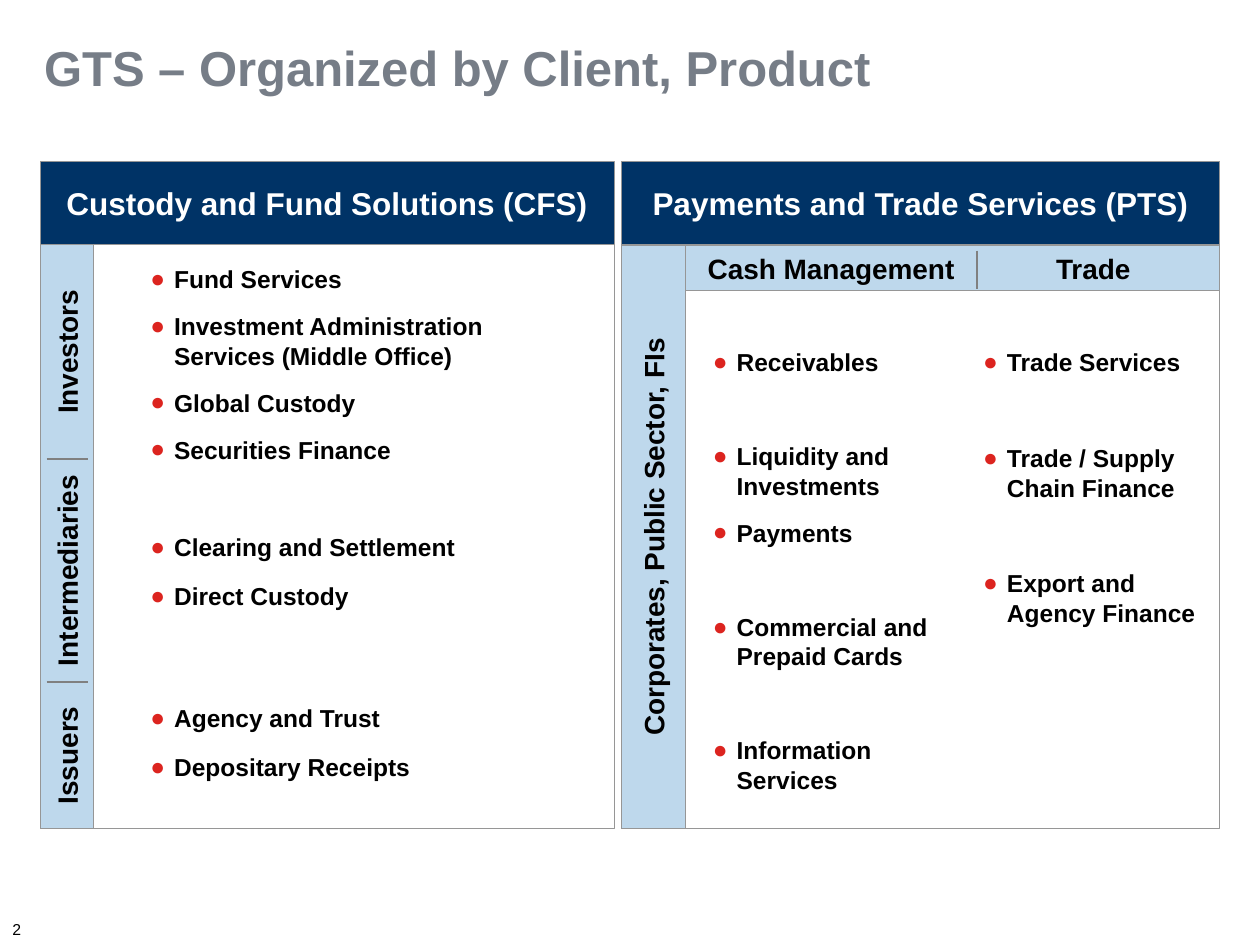
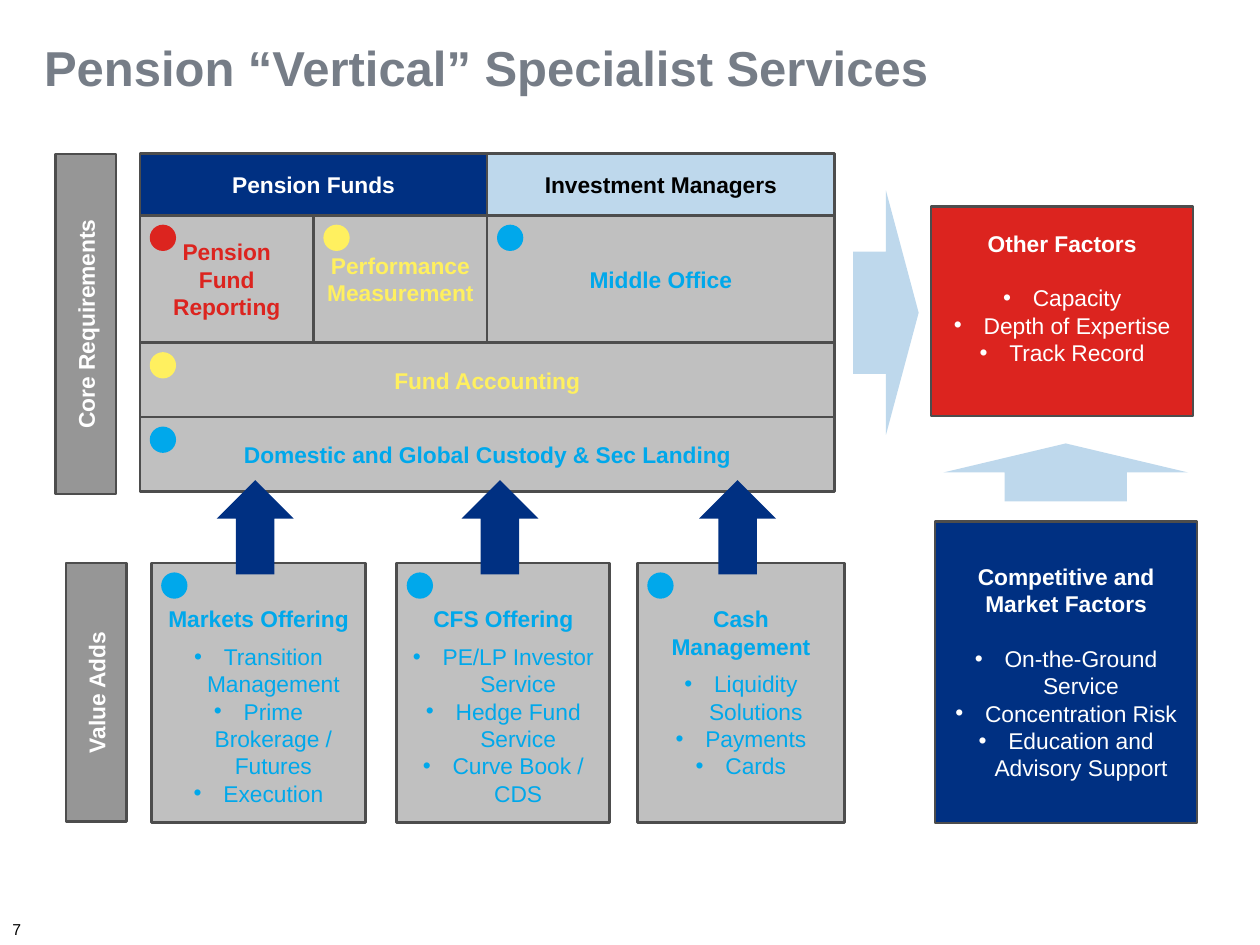
"""Build two slides on how services are organized by client and product."""
from lxml import etree
from pptx import Presentation
from pptx.dml.color import RGBColor
from pptx.enum.shapes import MSO_CONNECTOR, MSO_SHAPE
from pptx.enum.text import MSO_ANCHOR, MSO_AUTO_SIZE, PP_ALIGN
from pptx.oxml.ns import qn
from pptx.util import Cm, Pt

RECT, OVAL = MSO_SHAPE.RECTANGLE, MSO_SHAPE.OVAL
RIGHT, UP = MSO_SHAPE.RIGHT_ARROW, MSO_SHAPE.UP_ARROW
LINE = MSO_CONNECTOR.STRAIGHT
TOP, MID = MSO_ANCHOR.TOP, MSO_ANCHOR.MIDDLE
LEFT, CENTER = PP_ALIGN.LEFT, PP_ALIGN.CENTER
FIXED = MSO_AUTO_SIZE.NONE

FONT = "Arial"
WHITE = RGBColor(0xFF, 0xFF, 0xFF)
BLACK = RGBColor(0, 0, 0)
SLATE = RGBColor(0x76, 0x7D, 0x87)
NAVY = RGBColor(0x00, 0x33, 0x66)
BLUE = RGBColor(0x00, 0x30, 0x82)
PALE = RGBColor(0xBE, 0xD8, 0xEC)
SKY = RGBColor(0x00, 0xA8, 0xEB)
RED = RGBColor(0xDC, 0x24, 0x1F)
YELLOW = RGBColor(0xFF, 0xF0, 0x5F)
SILVER = RGBColor(0xC0, 0xC0, 0xC0)
GRAY = RGBColor(0x96, 0x96, 0x96)
RULE = RGBColor(0x80, 0x80, 0x80)
DARK = RGBColor(0x4D, 0x4D, 0x4D)

HEAD = 1.68
DOT = 0.53
TINT = {"size": 13, "color": WHITE}


def style(para, size, color, bold=True, align=CENTER, gap=0):
    """Format one paragraph and its runs."""
    para.alignment = align
    para.line_spacing = Pt(round(size * 1.2, 1))
    para.space_before, para.space_after = Pt(gap), Pt(0)
    for run in para.runs:
        font = run.font
        font.name, font.size, font.bold = FONT, Pt(size), bold
        font.color.rgb = color


def bullet(para, mark, indent, color):
    """Give a paragraph a hanging bullet."""
    props = para._p.get_or_add_pPr()
    props.set("marL", str(Cm(indent)))
    props.set("indent", str(-Cm(indent)))
    tint = etree.SubElement(props, qn("a:buClr"))
    etree.SubElement(tint, qn("a:srgbClr"), val=str(color))
    etree.SubElement(props, qn("a:buFont"), typeface=FONT)
    etree.SubElement(props, qn("a:buChar"), char=mark)


def inset(frame, size, top=None):
    """Set equal insets, or another one at the top."""
    frame.margin_left = frame.margin_right = frame.margin_bottom = Cm(size)
    frame.margin_top = Cm(size if top is None else top)


def shape(slide, box, kind=RECT, fill=None, edge=None, width=1.5):
    """Draw a preset shape in a box given in centimetres."""
    item = slide.shapes.add_shape(kind, *map(Cm, box))
    item.shadow.inherit = False
    if fill is None:
        item.fill.background()
    else:
        item.fill.solid()
        item.fill.fore_color.rgb = fill
    if edge is None:
        item.line.fill.background()
    else:
        item.line.color.rgb, item.line.width = edge, Pt(width)
    return item


def label(item, text, size, color, pad=0.25):
    """Write one centred bold line into a shape."""
    frame = item.text_frame
    frame.word_wrap, frame.vertical_anchor = True, MID
    inset(frame, pad)
    frame.text = text
    style(frame.paragraphs[0], size, color)


def turned(slide, box, text, size, color, fill=None, edge=None, width=1.5):
    """Fill a tall box with a shape whose text reads upwards."""
    x, y, w, h = box
    frame = (x + (w - h) / 2, y + (h - w) / 2, h, w)
    item = shape(slide, frame, fill=fill, edge=edge, width=width)
    item.rotation = 270
    label(item, text, size, color, 0)


def rule(slide, x, y, end_x, end_y):
    """Draw a thin divider."""
    item = slide.shapes.add_connector(LINE, Cm(x), Cm(y), Cm(end_x), Cm(end_y))
    item.line.color.rgb, item.line.width = RULE, Pt(1.25)
    etree.SubElement(item._element.spPr, qn("a:effectLst"))


def listing(slide, box, items, gaps):
    """Write a bold list with red bullets and the given gaps."""
    frame = slide.shapes.add_textbox(*map(Cm, box)).text_frame
    frame.word_wrap = True
    inset(frame, 0)
    frame.text = "\n".join(items)
    for para, gap in zip(frame.paragraphs, [0, *gaps]):
        bullet(para, "●", 0.48, RED)
        style(para, 14, BLACK, align=LEFT, gap=gap)


def start(deck, title, number):
    """Add a slide with its title and page number."""
    slide = deck.slides.add_slide(deck.slide_layouts[5])
    head = slide.shapes.title
    head.left, head.top, head.width, head.height = map(Cm, (0.89, 0.76, 20.04, 1.19))
    frame = head.text_frame
    frame.auto_size, frame.vertical_anchor = FIXED, TOP
    frame.word_wrap = True
    inset(frame, 0)
    frame.text = title
    style(frame.paragraphs[0], 28, SLATE, align=LEFT)
    page = slide.shapes.add_textbox(Cm(0), Cm(18.42), Cm(0.89), Cm(0.63)).text_frame
    page.text = number
    style(page.paragraphs[0], 9, BLACK, bold=False, align=LEFT)
    return slide


def panel(slide, box, title):
    """Draw a framed panel under a navy header."""
    x, y, w, h = box
    shape(slide, (x, y + HEAD, w, h - HEAD), edge=GRAY, width=0.5)
    head = shape(slide, (x, y, w, HEAD), fill=NAVY, edge=GRAY, width=0.5)
    label(head, title, 18, WHITE)


def funds(slide, box):
    """Draw the securities panel with its three client groups."""
    x, y, w, h = box
    panel(slide, box, "Custody and Fund Solutions (CFS)")
    band = 1.07
    shape(slide, (x, y + HEAD, band, h - HEAD), fill=PALE, edge=GRAY, width=0.5)
    cuts = [HEAD, 6.0, 10.5, h]
    names = ["Investors", "Intermediaries", "Issuers"]
    for name, top, end in zip(names, cuts, cuts[1:]):
        turned(slide, (x, y + top, band, end - top), name, 16, BLACK)
    for cut in cuts[1:-1]:
        rule(slide, x + 0.13, y + cut, x + band - 0.1, y + cut)
    groups = [
        (2.08, 10, ["Fund Services",
                    "Investment Administration Services (Middle Office)",
                    "Global Custody", "Securities Finance"]),
        (7.48, 11.2, ["Clearing and Settlement", "Direct Custody"]),
        (10.93, 11.2, ["Agency and Trust", "Depositary Receipts"]),
    ]
    for top, gap, items in groups:
        tall = 1.4 * len(items)
        listing(slide, (x + 2.22, y + top, 8.2, tall), items, [gap] * len(items))


def trade(slide, box):
    """Draw the treasury panel with its two product columns."""
    x, y, w, h = box
    panel(slide, box, "Payments and Trade Services (PTS)")
    band, cut, top = 1.3, 7.17, HEAD + 0.02
    turned(slide, (x, y + top, band, h - top), "Corporates, Public Sector, FIs",
           16, BLACK, PALE, GRAY, 0.5)
    shape(slide, (x + band, y + top, w - band, 0.91), fill=PALE, edge=GRAY, width=0.5)
    for name, left, end in (("Cash Management", band, cut), ("Trade", cut, w - 0.2)):
        cell = shape(slide, (x + left, y + top, end - left, 0.91))
        label(cell, name, 16, BLACK, 0)
    rule(slide, x + cut, y + top + 0.1, x + cut, y + top + 0.87)
    cash = ["Receivables", "Liquidity and Investments", "Payments",
            "Commercial and Prepaid Cards", "Information Services"]
    goods = ["Trade Services", "Trade / Supply Chain Finance",
             "Export and Agency Finance"]
    listing(slide, (x + 1.85, y + 3.75, 5.1, 9), cash, [37, 10, 37, 37])
    listing(slide, (x + 7.3, y + 3.75, 4.38, 6), goods, [38, 38])


def spot(slide, x, y, color):
    """Mark the corner of a box with a coloured dot."""
    shape(slide, (x + 0.2, y + 0.19, DOT, DOT), OVAL, color)


def core(slide, box):
    """Draw the grid of core requirements."""
    x, y, w, h = box
    half, part = w / 2, w / 4
    tops = [0, 1.24, 3.81, 5.31, h]
    cells = [
        (0, 0, half, "Pension Funds", BLUE, WHITE),
        (0, half, half, "Investment Managers", PALE, BLACK),
        (1, 0, part, "Pension Fund Reporting", SILVER, RED),
        (1, part, part, "Performance Measurement", SILVER, YELLOW),
        (1, half, half, "Middle Office", SILVER, SKY),
        (2, 0, w, "Fund Accounting", SILVER, YELLOW),
        (3, 0, w, "Domestic and Global Custody & Sec Landing", SILVER, SKY),
    ]
    for row, left, wide, text, fill, color in cells:
        top = y + tops[row]
        tall = tops[row + 1] - tops[row]
        cell = shape(slide, (x + left, top, wide, tall), fill=fill, edge=DARK)
        label(cell, text, 13, color)
        if row:
            spot(slide, x + left, top, color)


def card(slide, box, title, items, fill, color, top, gap):
    """Draw a box with a bold heading and centred bullets."""
    frame = shape(slide, box, fill=fill, edge=DARK).text_frame
    frame.word_wrap, frame.vertical_anchor = True, TOP
    inset(frame, 0.25, top)
    frame.text = "\n".join([title, *items])
    head, *rest = frame.paragraphs
    style(head, 13, color)
    for index, para in enumerate(rest):
        bullet(para, "•", 0.6, color)
        style(para, 13, color, bold=False, gap=0 if index else gap)


def offer(slide, box, title, items):
    """Draw a value-add card with its dot and upward arrow."""
    x, y, w, h = box
    card(slide, box, title, items, SILVER, SKY, 0.85, 6)
    spot(slide, x, y, SKY)
    shape(slide, (x + w / 2 - 0.84, y - 1.67, 1.55, 1.9), UP, BLUE)


def clients(deck):
    """Build the slide on clients and products."""
    slide = start(deck, "GTS – Organized by Client, Product", "2")
    funds(slide, (0.81, 3.25, 11.57, 13.45))
    trade(slide, (12.52, 3.25, 12.07, 13.45))


def pension(deck):
    """Build the slide on pension services."""
    slide = start(deck, "Pension “Vertical” Specialist Services", "7")
    for box, text in (((1.12, 3.1, 1.22, 6.86), "Core Requirements"),
                      ((1.33, 11.35, 1.22, 5.21), "Value Adds")):
        turned(slide, box, text, fill=GRAY, edge=DARK, **TINT)
    core(slide, (2.82, 3.1, 14, 6.81))
    offers = [
        (3.05, 4.32, "Markets Offering",
         ["Transition Management", "Prime Brokerage / Futures", "Execution"]),
        (8, 4.29, "CFS Offering",
         ["PE/LP Investor Service", "Hedge Fund Service", "Curve Book / CDS"]),
        (12.85, 4.17, "Cash Management",
         ["Liquidity Solutions", "Payments", "Cards"]),
    ]
    for x, wide, title, items in offers:
        offer(slide, (x, 11.35, wide, 5.23), title, items)
    card(slide, (18.77, 4.17, 5.28, 4.22), "Other Factors",
         ["Capacity", "Depth of Expertise", "Track Record"], RED, WHITE, 0.46, 15.6)
    card(slide, (18.85, 10.52, 5.28, 6.07), "Competitive and Market Factors",
         ["On-the-Ground Service", "Concentration Risk",
          "Education and Advisory Support"], BLUE, WHITE, 0.83, 15.6)
    shape(slide, (17.2, 3.84, 1.32, 4.93), RIGHT, PALE)
    shape(slide, (19.02, 8.94, 4.93, 1.17), UP, PALE)


def main():
    """Build and save the deck."""
    deck = Presentation()
    deck.slide_width, deck.slide_height = Cm(25.4), Cm(19.05)
    clients(deck)
    pension(deck)
    deck.save("out.pptx")


if __name__ == "__main__":
    main()
